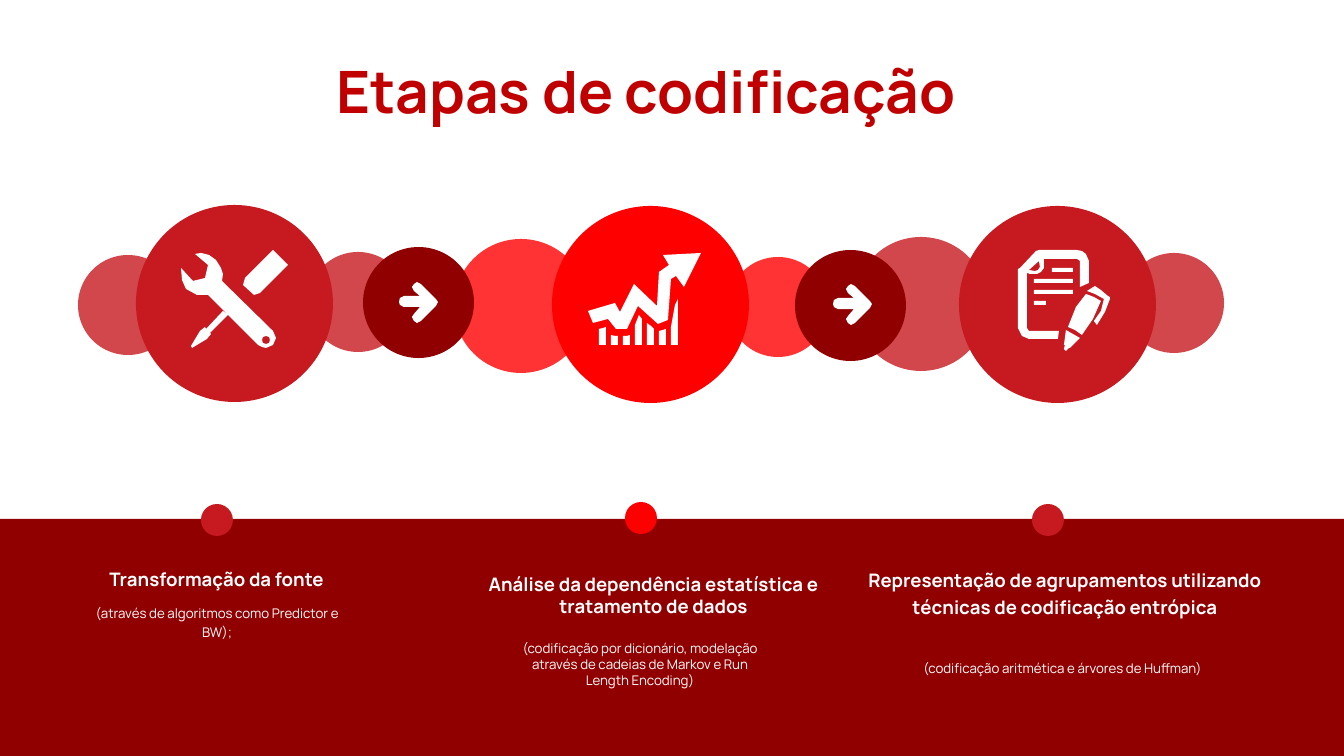
from dataclasses import dataclass

from lxml import etree
from pptx import Presentation
from pptx import util as u
from pptx.dml import color
from pptx.enum import shapes, text
from pptx.oxml import ns

PX = 914400 / 95.6


@dataclass(frozen=True)
class Theme:
    font: str = "Manrope"
    title: str = "C00000"
    crimson: str = "C71920"
    bright: str = "FF0000"
    dark: str = "900000"
    white: str = "FFFFFF"
    title_size: int = 44
    heading_size: int = 14
    detail_size: int = 10
    faint_alpha: int = 80


THEME = Theme()
BAND_TOP = 519
MAIN, STEP, DOT = 197, 111, 32

STAGES = [
    {"fill": THEME.crimson, "main": (136, 205), "dot": (201, 504),
     "faint": [(78, 255, 100), (308, 252, 100)]},
    {"fill": THEME.bright, "main": (552, 206), "dot": (625, 502),
     "faint": [(454, 239, 134), (728, 257, 100)]},
    {"fill": THEME.crimson, "main": (959, 206), "dot": (1032, 504),
     "faint": [(854, 237, 134), (1124, 253, 100)]},
]

STEPS = [((363, 247), (399, 282)), ((795, 250), (833, 284))]

CENTER, JUSTIFY = text.PP_ALIGN.CENTER, text.PP_ALIGN.JUSTIFY
HEADINGS = [
    ("Transformação da fonte", (100, 559, 278, 20), JUSTIFY, 1.2),
    ("Análise da dependência estatística e tratamento de dados",
     (431, 568, 445, 33), CENTER, 1.0),
    ("Representação de agrupamentos utilizando técnicas de codificação entrópica",
     (854, 560, 422, 43), CENTER, 1.2),
]
DETAILS = [
    ("(através de algoritmos como Predictor e BW);", (80, 597, 274, 56), 1.2),
    ("(codificação por dicionário, modelação através de cadeias de Markov e Run Length Encoding)",
     (503, 636, 274, 56), 1.0),
    ("(codificação aritmética e árvores de Huffman)", (911, 652, 303, 56), 1.2),
]

ARROW = [[
    (37, 17), (22, 2), (18, 0), (15, 2), (13, 5), (15, 9), (21, 14), (5, 14), (1, 16), (0, 20),
    (1, 23), (5, 25), (21, 25), (15, 32), (13, 35), (15, 39), (18, 41), (22, 39), (37, 24), (39, 20),
]]

WRENCH = [
    (21, 3), (29, 5), (36, 10), (41, 18), (43, 24), (42, 31), (93, 81), (96, 88), (93, 95),
    (86, 98), (82, 97), (78, 95), (28, 45), (17, 45), (6, 39), (2, 30), (1, 18), (13, 31),
    (25, 28), (28, 15), (15, 4),
]
WRENCH_HOLE = [(86, 86), (83, 87), (82, 90), (83, 93), (86, 94), (89, 93), (90, 90), (89, 87)]
SCREWDRIVER_BLADE = [
    (43, 61), (48, 65), (30, 83), (31, 84), (27, 89), (12, 98), (11, 96), (20, 81), (25, 77), (26, 79),
]
SCREWDRIVER_HANDLE = [(93, 0), (108, 15), (80, 43), (74, 45), (63, 35), (65, 28)]

TREND = [
    (113, 0), (104, 18), (96, 34), (88, 23), (83, 26), (80, 67), (70, 71), (50, 53), (39, 76),
    (28, 76), (20, 66), (5, 70), (0, 58), (27, 50), (32, 59), (46, 31), (69, 53), (71, 19),
    (81, 12), (75, 2),
]
BAR_TOPS = [(76, 75, 74), (82, 83, 83), (83, 83, 82), (72, 62, 66), (70, 73, 76), (78, 77, 76), (74, 52, 46)]

PAGE = [
    (21, 0), (59, 0), (64, 1), (68, 4), (71, 11), (71, 33), (62, 37), (62, 11), (61, 10), (59, 9),
    (26, 9), (26, 18), (23, 22), (19, 24), (12, 24), (9, 23), (9, 78), (11, 81), (41, 81), (40, 89),
    (11, 89), (4, 86), (0, 78), (0, 19), (2, 18), (18, 1),
]
PAGE_FOLD = [(11, 20), (17, 21), (20, 20), (22, 17), (21, 11)]
PEN_CLIP = [
    (83, 40), (77, 36), (69, 41), (77, 44), (86, 49), (83, 61), (76, 71), (79, 75), (87, 62),
    (92, 49), (92, 47), (90, 46),
]
PEN_BODY = [(68, 44), (58, 57), (50, 77), (57, 80), (64, 85), (75, 69), (83, 51), (76, 47)]
PEN_TIP = [(48, 80), (46, 95), (47, 95), (46, 99), (48, 101), (51, 98), (52, 98), (62, 88)]
PAGE_LINES = [(34, 55), (16, 55), (16, 55), (16, 28)]


def px(value):
    return u.Emu(round(value * PX))


def rgb(value):
    return color.RGBColor.from_string(value)


def set_values(target, values):
    for name, value in values.items():
        setattr(target, name, value)


def paint(shape, fill, alpha=None):
    shape.shadow.inherit = False
    shape.fill.solid()
    shape.fill.fore_color.rgb = rgb(fill)
    shape.line.fill.background()
    if alpha:
        for element in shape._element.spPr.iterfind(".//" + ns.qn("a:srgbClr")):
            etree.SubElement(element, ns.qn("a:alpha"), val=str(alpha * 1000))


def add_preset(slide, kind, box, fill, alpha=None):
    shape = slide.shapes.add_shape(kind, *map(px, box))
    paint(shape, fill, alpha)


def add_circle(slide, corner, size, fill, alpha=None):
    add_preset(slide, shapes.MSO_SHAPE.OVAL, (*corner, size, size), fill, alpha)


def add_icon(slide, origin, contours):
    first, *others = contours
    builder = slide.shapes.build_freeform(*first[0], scale=PX)
    builder.add_line_segments(first[1:], close=True)
    for contour in others:
        builder.move_to(*contour[0])
        builder.add_line_segments(contour[1:], close=True)
    paint(builder.convert_to_shape(*map(px, origin)), THEME.white)


def add_label(slide, wording, box, size, ink=THEME.white, bold=False, align=CENTER, spacing=1.0):
    frame = slide.shapes.add_textbox(*map(px, box)).text_frame
    frame.word_wrap = True
    paragraph = frame.paragraphs[0]
    set_values(paragraph, {"alignment": align, "line_spacing": spacing})
    run = paragraph.add_run()
    run.text = wording
    set_values(run.font, {"name": THEME.font, "size": u.Pt(size), "bold": bold})
    run.font.color.rgb = rgb(ink)


def chart_contours():
    bars = []
    for index, (left, middle, right) in enumerate(BAR_TOPS):
        x = 11 + 12 * index
        bars.append([(x, 92), (x, left), (x + 4, middle), (x + 7, right), (x + 7, 92)])
    return [TREND, *bars]


def document_contours():
    lines = []
    for index, (left, right) in enumerate(PAGE_LINES):
        y = 18 + 11 * index
        lines.append([(left, y), (right, y), (right, y + 4), (left, y + 4)])
    return [PAGE, PAGE_FOLD, PEN_CLIP, PEN_BODY, PEN_TIP, *lines]


def add_stage(slide, stage):
    for x, y, size in stage["faint"]:
        add_circle(slide, (x, y), size, stage["fill"], THEME.faint_alpha)
    add_circle(slide, stage["main"], MAIN, stage["fill"])
    add_circle(slide, stage["dot"], DOT, stage["fill"])


def main():
    presentation = Presentation()
    set_values(presentation, {"slide_width": px(1344), "slide_height": px(756)})
    slide = presentation.slides.add_slide(presentation.slide_layouts[6])

    add_preset(slide, shapes.MSO_SHAPE.RECTANGLE, (0, BAND_TOP, 1344, 756 - BAND_TOP), THEME.dark)
    for stage in STAGES:
        add_stage(slide, stage)
    for corner, arrow_origin in STEPS:
        add_circle(slide, corner, STEP, THEME.dark)
        add_icon(slide, arrow_origin, ARROW)

    add_icon(slide, (180, 250), [WRENCH, WRENCH_HOLE, SCREWDRIVER_BLADE, SCREWDRIVER_HANDLE])
    add_icon(slide, (588, 253), chart_contours())
    add_icon(slide, (1018, 250), document_contours())

    add_label(slide, "Etapas de codificação", (136, 50, 1020, 59), THEME.title_size, THEME.title, True)
    for wording, box, align, spacing in HEADINGS:
        add_label(slide, wording, box, THEME.heading_size, bold=True, align=align, spacing=spacing)
    for wording, box, spacing in DETAILS:
        add_label(slide, wording, box, THEME.detail_size, spacing=spacing)

    presentation.save("out.pptx")


if __name__ == "__main__":
    main()
